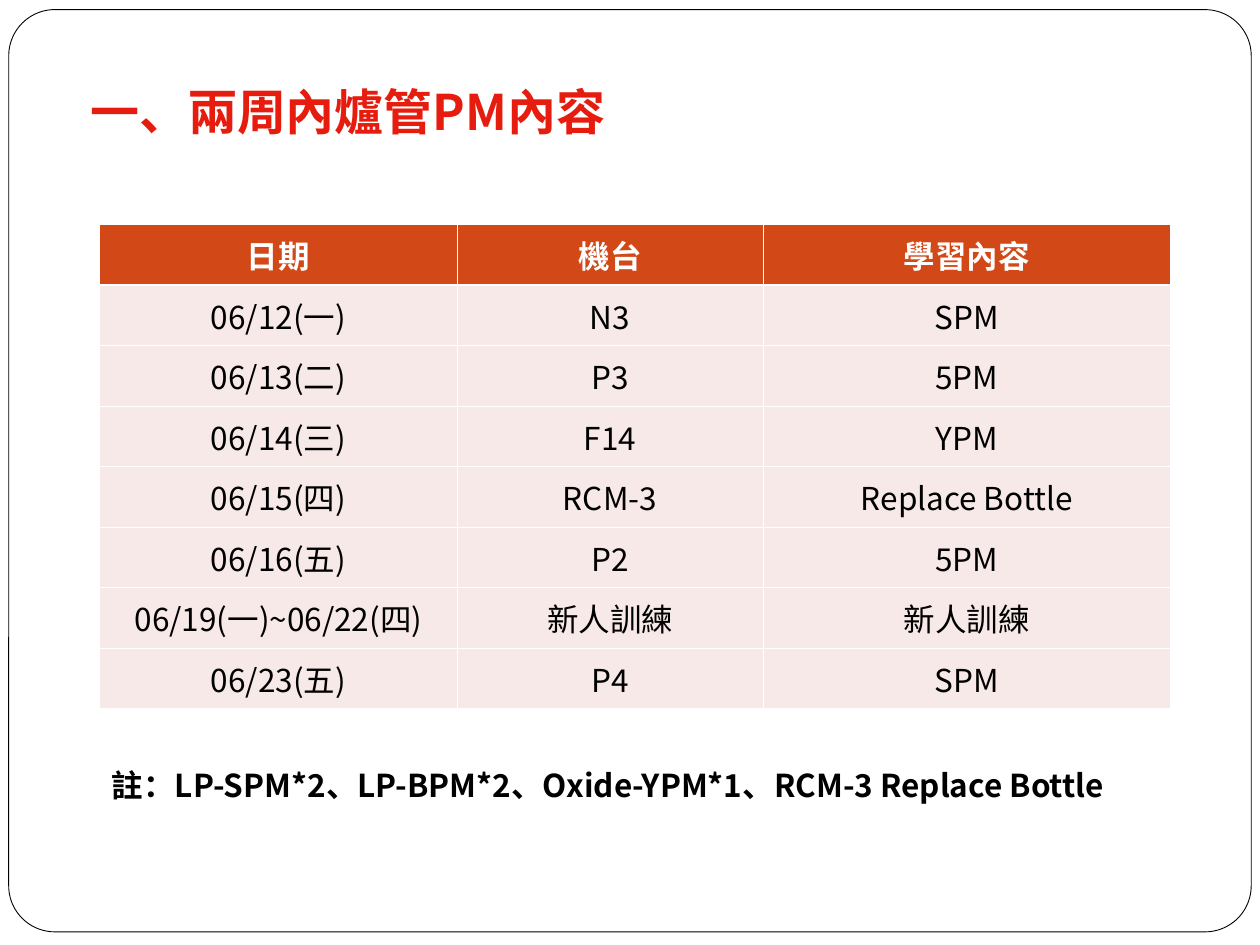
from dataclasses import dataclass

from lxml import etree
from pptx import Presentation
from pptx import util as u
from pptx.dml.color import RGBColor
from pptx.enum import shapes, text
from pptx.oxml.ns import qn


@dataclass(frozen=True)
class Theme:
    font: str = "Noto Sans CJK SC"
    title_size: float = 28
    body_size: float = 18
    title: str = "E61C0E"
    ink: str = "000000"
    paper: str = "FFFFFF"
    header: str = "D34817"
    band: str = "F7E9E7"
    frame_line: float = 0.5
    grid_line: float = 0.45
    header_line: float = 1.47


class Deck:
    def __init__(self, prs, theme):
        self.theme = theme
        self.s = prs.slides.add_slide(prs.slide_layouts[6])

    def format(self, p, size, color, bold):
        for r in p.runs:
            r.font.name = self.theme.font
            r.font.size = u.Pt(size)
            r.font.bold = bold
            r.font.color.rgb = RGBColor.from_string(color)
            etree.SubElement(r.font._element, qn("a:ea"), typeface=self.theme.font)

    def frame(self, x, y, w, h, corner):
        sp = self.s.shapes.add_shape(
            shapes.MSO_SHAPE.ROUNDED_RECTANGLE, *map(u.Pt, (x, y, w, h)))
        sp.adjustments[0] = corner
        sp.shadow.inherit = False
        sp.fill.solid()
        sp.fill.fore_color.rgb = RGBColor.from_string(self.theme.paper)
        sp.line.color.rgb = RGBColor.from_string(self.theme.ink)
        sp.line.width = u.Pt(self.theme.frame_line)

    def label(self, x, y, w, h, words, size, color, wrap):
        tf = self.s.shapes.add_textbox(*map(u.Pt, (x, y, w, h))).text_frame
        tf.word_wrap = wrap
        tf.text = words
        self.format(tf.paragraphs[0], size, color, True)

    def border(self, cell, side, width):
        ln = etree.SubElement(cell._tc.get_or_add_tcPr(), qn(f"a:ln{side}"),
                              w=str(u.Pt(width)))
        fill = etree.SubElement(ln, qn("a:solidFill"))
        etree.SubElement(fill, qn("a:srgbClr"), val=self.theme.paper)

    def cell(self, cell, words, row):
        t = self.theme
        head = row == 0
        cell.text = words
        cell.vertical_anchor = text.MSO_ANCHOR.MIDDLE
        p = cell.text_frame.paragraphs[0]
        p.alignment = text.PP_ALIGN.CENTER
        self.format(p, t.body_size, t.paper if head else t.ink, head)
        heavy_side = {0: "B", 1: "T"}.get(row)
        for side in "LRTB":
            self.border(cell, side, t.header_line if side == heavy_side else t.grid_line)
        cell.fill.solid()
        cell.fill.fore_color.rgb = RGBColor.from_string(t.header if head else t.band)

    def table(self, x, y, widths, row_height, rows):
        table = self.s.shapes.add_table(
            len(rows), len(widths), u.Pt(x), u.Pt(y),
            u.Pt(sum(widths)), u.Pt(row_height * len(rows))).table
        for column, width in zip(table.columns, widths):
            column.width = u.Pt(width)
        for i, row in enumerate(rows):
            table.rows[i].height = u.Pt(row_height)
            for j, words in enumerate(row):
                self.cell(table.cell(i, j), words, i)


SCHEDULE = [
    ("日期", "機台", "學習內容"),
    ("06/12(一)", "N3", "SPM"),
    ("06/13(二)", "P3", "5PM"),
    ("06/14(三)", "F14", "YPM"),
    ("06/15(四)", "RCM-3", "Replace Bottle"),
    ("06/16(五)", "P2", "5PM"),
    ("06/19(一)~06/22(四)", "新人訓練", "新人訓練"),
    ("06/23(五)", "P4", "SPM"),
]


def main():
    prs = Presentation()
    prs.slide_width, prs.slide_height = u.Pt(720), u.Pt(540)
    t = Theme()
    deck = Deck(prs, t)
    deck.frame(5, 5.5, 710, 527, 0.05)
    deck.table(57, 128.3, (204.2, 174.8, 233), 34.6, SCHEDULE)
    deck.label(56.9, 434, 615, 50,
               "註：LP-SPM*2、LP-BPM*2、Oxide-YPM*1、RCM-3 Replace Bottle",
               t.body_size, t.ink, True)
    deck.label(44.5, 43.2, 323.3, 41, "一、兩周內爐管PM內容",
               t.title_size, t.title, False)
    prs.save("out.pptx")


if __name__ == "__main__":
    main()
